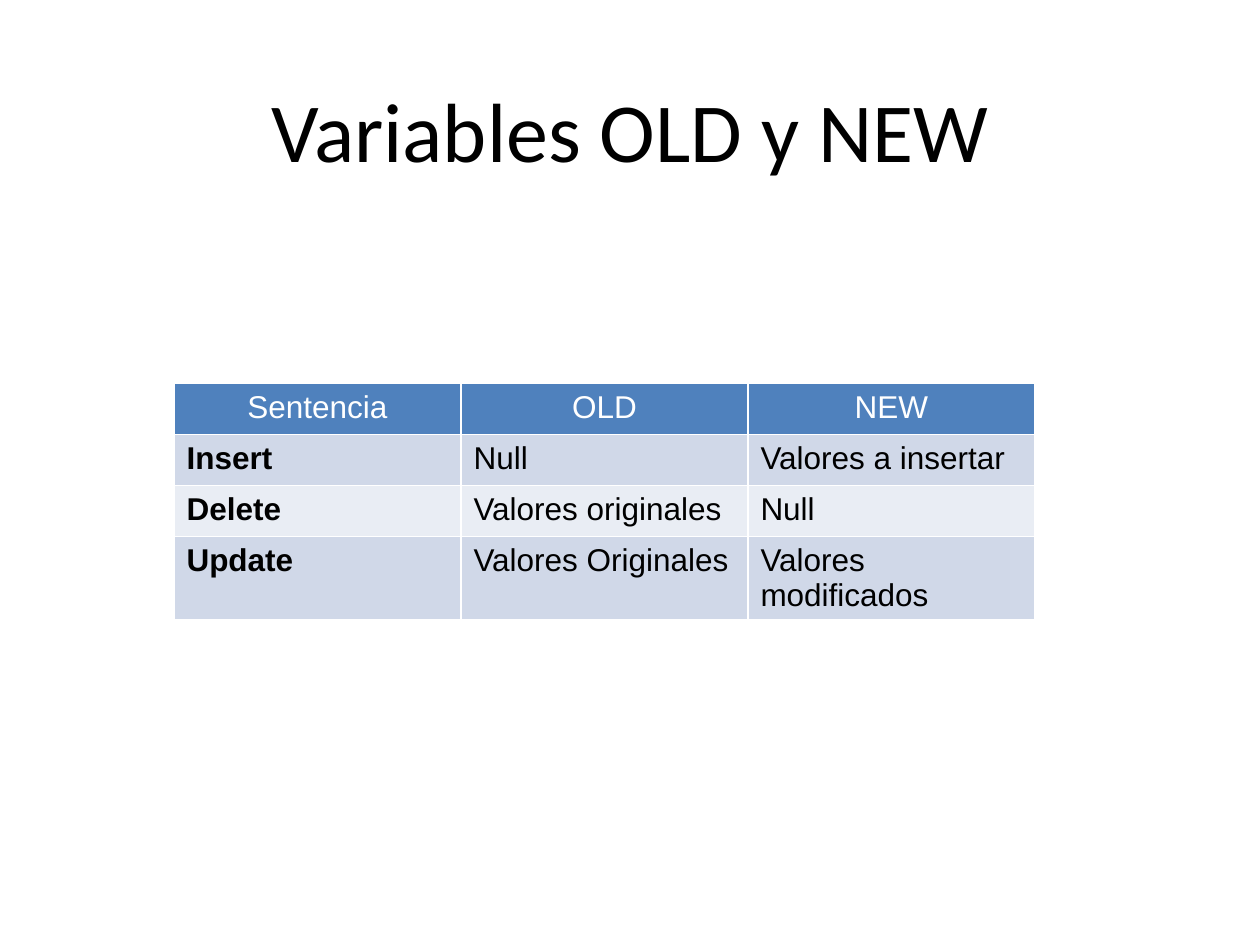
from dataclasses import dataclass

from pptx import Presentation
from pptx.dml.color import RGBColor
from pptx.enum.text import MSO_ANCHOR, PP_ALIGN
from pptx.util import Pt


@dataclass(frozen=True)
class Theme:
    """Colours, fonts and type sizes of the slide."""
    ink: str = "000000"
    paper: str = "FFFFFF"
    head: str = "4F81BD"
    bands: tuple = ("D0D8E8", "E9EDF4")
    title_font: str = "Calibri"
    table_font: str = "Arial"
    title_size: float = 48
    table_size: float = 18


def apply(target, values):
    """Set each attribute named in a dict of format values."""
    for name, value in values.items():
        setattr(target, name, value)


class Page:
    """Holds the theme and the current slide."""

    def __init__(self, theme, slide):
        """Keep the theme and the slide to draw on."""
        self.theme, self.slide = theme, slide

    def label(self, frame, text, align, color, **style):
        """Put one formatted paragraph into a text frame."""
        para = frame.paragraphs[0]
        para.alignment = align
        run = para.add_run()
        run.text = text
        apply(run.font, style)
        run.font.color.rgb = RGBColor.from_string(color)

    def title(self, text, left, top, width, height):
        """Place and fill the title placeholder."""
        shape = self.slide.shapes.title
        apply(shape, {"left": Pt(left), "top": Pt(top),
                      "width": Pt(width), "height": Pt(height)})
        apply(shape.text_frame, {"word_wrap": True,
                                 "vertical_anchor": MSO_ANCHOR.MIDDLE})
        self.label(shape.text_frame, text, PP_ALIGN.CENTER, self.theme.ink,
                   name=self.theme.title_font, size=Pt(self.theme.title_size))

    def table(self, rows, left, top, width, height):
        """Add a table with a header row, bold first column and bands."""
        theme = self.theme
        grid = self.slide.shapes.add_table(
            len(rows), len(rows[0]), Pt(left), Pt(top),
            Pt(width), Pt(height)).table
        for r, row in enumerate(rows):
            head = r == 0
            fill = theme.head if head else theme.bands[(r - 1) % 2]
            color = theme.paper if head else theme.ink
            align = PP_ALIGN.CENTER if head else PP_ALIGN.LEFT
            for c, text in enumerate(row):
                cell = grid.cell(r, c)
                cell.fill.solid()
                cell.fill.fore_color.rgb = RGBColor.from_string(fill)
                self.label(cell.text_frame, text, align, color,
                           name=theme.table_font, size=Pt(theme.table_size),
                           bold=not head and c == 0)


def main():
    """Build the slide and save it."""
    deck = Presentation()
    apply(deck, {"slide_width": Pt(720), "slide_height": Pt(540)})
    page = Page(Theme(), deck.slides.add_slide(deck.slide_layouts[5]))
    page.title("Variables OLD y NEW", 36, 28.8, 648, 90)
    page.table([
        ("Sentencia", "OLD", "NEW"),
        ("Insert", "Null", "Valores a insertar"),
        ("Delete", "Valores originales", "Null"),
        ("Update", "Valores Originales", "Valores modificados"),
    ], 99.4, 219, 492, 116.8)
    deck.save("out.pptx")


main()
